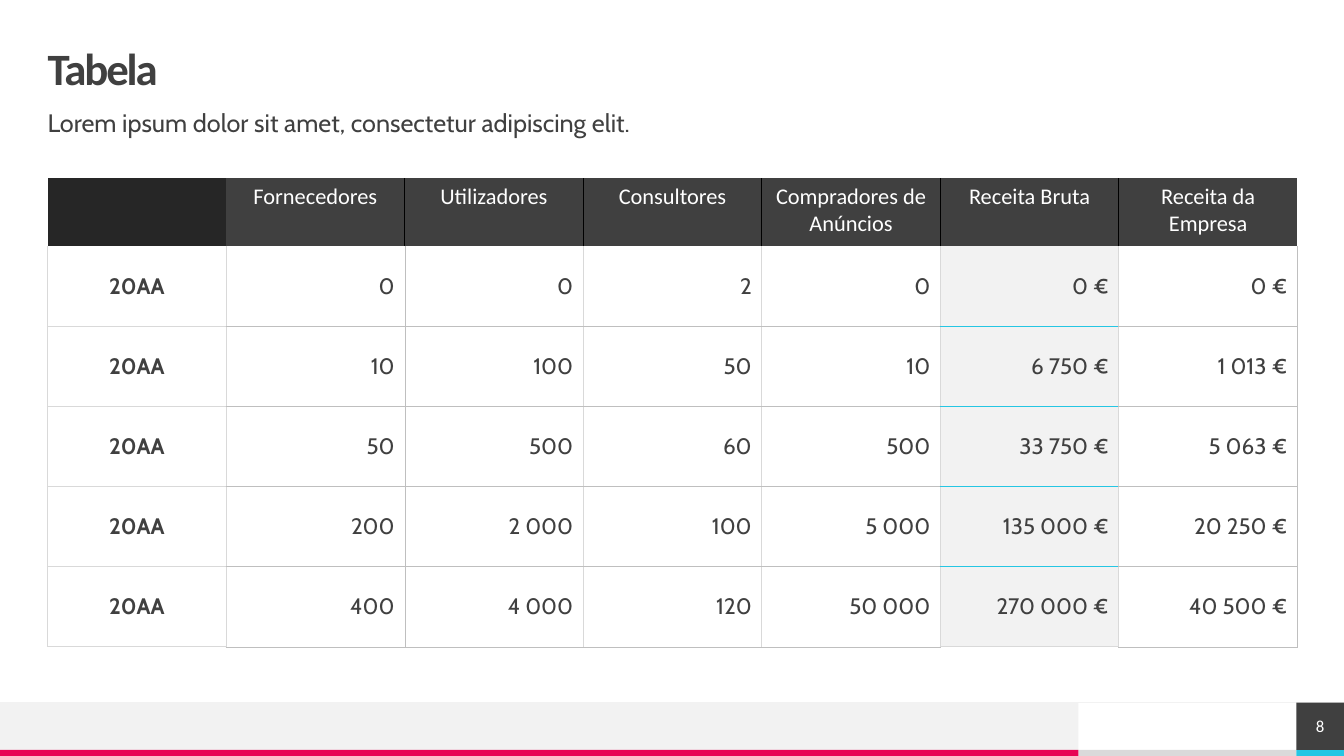
from lxml import etree
from pptx import Presentation
from pptx.dml.color import RGBColor
from pptx.enum.shapes import MSO_CONNECTOR, MSO_SHAPE
from pptx.enum.text import MSO_ANCHOR, PP_ALIGN
from pptx.oxml.ns import qn
from pptx.util import Inches, Pt

WHITE = RGBColor(0xFF, 0xFF, 0xFF)
BLACK = RGBColor(0x00, 0x00, 0x00)
INK = RGBColor(0x26, 0x26, 0x26)
DARK = RGBColor(0x40, 0x40, 0x40)
PALE = RGBColor(0xF2, 0xF2, 0xF2)
GREY = RGBColor(0xDA, 0xDA, 0xDA)
SOFT_RULE = RGBColor(0xD9, 0xD9, 0xD9)
FINE_RULE = RGBColor(0xBF, 0xBF, 0xBF)
CYAN = RGBColor(0x25, 0xC6, 0xE3)
PINK = RGBColor(0xE8, 0x05, 0x54)

HEAD_FONT, BODY_FONT = "Calibri", "Cabin"
SOFT, FINE = (SOFT_RULE, 1), (FINE_RULE, 0.25)

# Shares of the slide's width and height, in percent
MARGIN, CONTENT_W = 3.54, 93
PANEL_X, BADGE_X = 80.24, 96.46
FOOTER_Y, STRIPE_Y = 92.93, 99.2
HEADER_H, ROW_H = 9, 10.6

HEADERS = ["", "Fornecedores", "Utilizadores", "Consultores",
           "Compradores de Anúncios", "Receita Bruta", "Receita da Empresa"]
ROWS = [
    ["20AA", "0", "0", "2", "0", "0 €", "0 €"],
    ["20AA", "10", "100", "50", "10", "6 750 €", "1 013 €"],
    ["20AA", "50", "500", "60", "500", "33 750 €", "5 063 €"],
    ["20AA", "200", "2 000", "100", "5 000", "135 000 €", "20 250 €"],
    ["20AA", "400", "4 000", "120", "50 000", "270 000 €", "40 500 €"],
]
LAST_ROW, LAST_COL = len(ROWS), len(HEADERS) - 1
GROSS_COL = 5


def vertical_rule(row, edge):
    """Border on a column edge, where edge 0 is the table's left side."""
    if row == 0:
        return (BLACK, 1) if 2 <= edge <= LAST_COL else None
    return FINE if edge in (2, LAST_COL + 1) else SOFT


def horizontal_rule(row, col):
    """Border below a row."""
    if row <= 0:
        return None
    if col == GROSS_COL and row < LAST_ROW:
        return CYAN, 1
    return SOFT if col in (0, GROSS_COL) else FINE


def cell_fill(row, col):
    if row == 0:
        return DARK if col else INK
    return {0: WHITE, GROSS_COL: PALE}.get(col)


def set_border(cell, side, rule):
    ln = etree.SubElement(cell._tc.get_or_add_tcPr(), qn(f"a:ln{side}"))
    if rule is None:
        etree.SubElement(ln, qn("a:noFill"))
        return
    color, width = rule
    ln.set("w", str(Pt(width)))
    fill = etree.SubElement(ln, qn("a:solidFill"))
    etree.SubElement(fill, qn("a:srgbClr")).set("val", str(color))


class Deck:
    def __init__(self):
        self.prs = Presentation()
        self.prs.slide_width, self.prs.slide_height = Inches(13.33), Inches(7.5)
        self.s = self.prs.slides.add_slide(self.prs.slide_layouts[6])

    def x(self, share):
        return round(self.prs.slide_width * share / 100)

    def y(self, share):
        return round(self.prs.slide_height * share / 100)

    def box(self, left, top, width, height):
        return self.x(left), self.y(top), self.x(width), self.y(height)

    def run(self, p, text, size, color, font=HEAD_FONT, bold=False, spacing=0):
        r = p.add_run()
        r.text = text
        r.font.name, r.font.size, r.font.bold = font, Pt(size), bold
        r.font.color.rgb = color
        if spacing:
            r._r.get_or_add_rPr().set("spc", str(round(spacing * 100)))

    def rect(self, left, top, right, bottom, color):
        sp = self.s.shapes.add_shape(
            MSO_SHAPE.RECTANGLE, *self.box(left, top, right - left, bottom - top))
        sp.shadow.inherit = False
        sp.fill.solid()
        sp.fill.fore_color.rgb = color
        sp.line.fill.background()
        return sp

    def frame(self, sp, anchor, align=PP_ALIGN.LEFT):
        """Prepare a shape's text frame and return its first paragraph."""
        tf = sp.text_frame
        tf.word_wrap = True
        tf.vertical_anchor = anchor
        tf.margin_left = tf.margin_top = tf.margin_right = tf.margin_bottom = 0
        p = tf.paragraphs[0]
        p.alignment = align
        return p

    def text(self, box, anchor):
        sp = self.s.shapes.add_textbox(*self.box(*box))
        p = self.frame(sp, anchor)
        p.line_spacing = 0.9
        return p

    def rule(self, y, color, width):
        line = self.s.shapes.add_connector(
            MSO_CONNECTOR.STRAIGHT, self.x(100), self.y(y), 0, self.y(y))
        line.line.color.rgb = color
        line.line.width = Pt(width)
        etree.SubElement(line._element.spPr, qn("a:effectLst"))

    def table(self, left, top, width):
        data = [HEADERS, *ROWS]
        height = HEADER_H + ROW_H * LAST_ROW
        table = self.s.shapes.add_table(
            len(data), len(HEADERS), *self.box(left, top, width, height)).table
        table.first_row = table.horz_banding = False
        for column in table.columns:
            column.width = self.x(width / len(HEADERS))
        for row, values in enumerate(data):
            table.rows[row].height = self.y(ROW_H if row else HEADER_H)
            for col, value in enumerate(values):
                self.cell(table.cell(row, col), row, col, value)

    def cell(self, cell, row, col, value):
        set_border(cell, "L", vertical_rule(row, col))
        set_border(cell, "R", vertical_rule(row, col + 1))
        set_border(cell, "T", horizontal_rule(row - 1, col))
        set_border(cell, "B", horizontal_rule(row, col))
        color = cell_fill(row, col)
        if color is None:
            cell.fill.background()
        else:
            cell.fill.solid()
            cell.fill.fore_color.rgb = color
        cell.vertical_anchor = MSO_ANCHOR.MIDDLE if row else MSO_ANCHOR.TOP
        p = cell.text_frame.paragraphs[0]
        p.alignment = PP_ALIGN.RIGHT if row and col else PP_ALIGN.CENTER
        if not value:
            return
        if row:
            self.run(p, value, 16, DARK, BODY_FONT, bold=col == 0)
        else:
            self.run(p, value, 16, WHITE)


def main():
    deck = Deck()

    deck.rect(PANEL_X, STRIPE_Y, BADGE_X, 100, GREY)
    deck.rect(0, FOOTER_Y, PANEL_X, STRIPE_Y, PALE)
    deck.rect(0, STRIPE_Y, PANEL_X, 100, PINK)
    deck.rect(BADGE_X, STRIPE_Y, 100, 100, CYAN)
    deck.rule(FOOTER_Y, PALE, 0.5)

    title = deck.text((MARGIN, 6.27, CONTENT_W, 6.27), MSO_ANCHOR.MIDDLE)
    deck.run(title, "Tabela", 32, DARK, bold=True, spacing=-1.5)
    subtitle = deck.text((MARGIN, 14.67, CONTENT_W, 5.2), MSO_ANCHOR.TOP)
    deck.run(subtitle, "Lorem ipsum dolor sit amet, consectetur adipiscing elit.",
             18, DARK, BODY_FONT)

    deck.table(MARGIN, 23.55, CONTENT_W)

    badge = deck.rect(BADGE_X, FOOTER_Y, 100, STRIPE_Y, DARK)
    number = deck.frame(badge, MSO_ANCHOR.MIDDLE, PP_ALIGN.CENTER)
    deck.run(number, "8", 12, WHITE)

    deck.prs.save("out.pptx")


if __name__ == "__main__":
    main()
